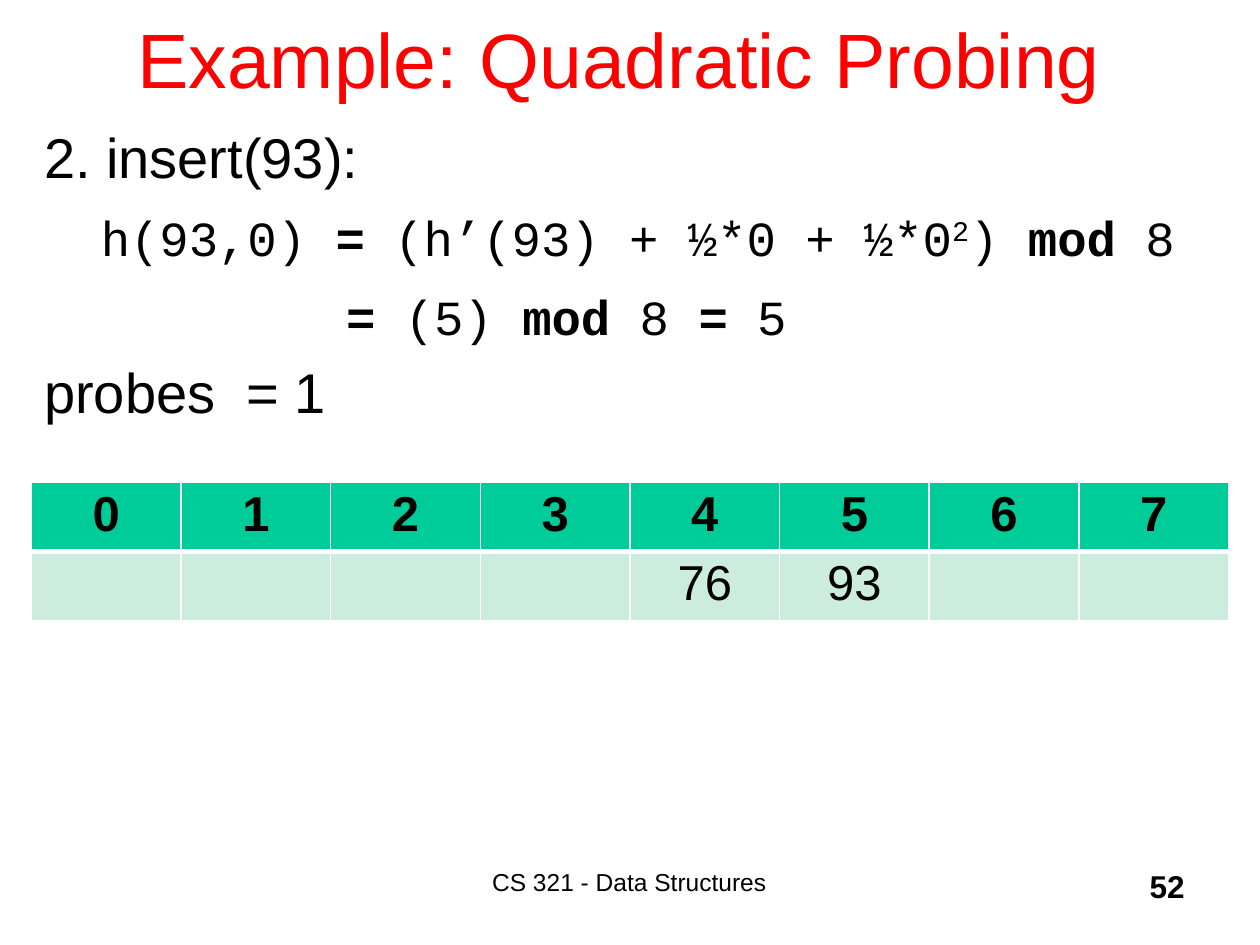
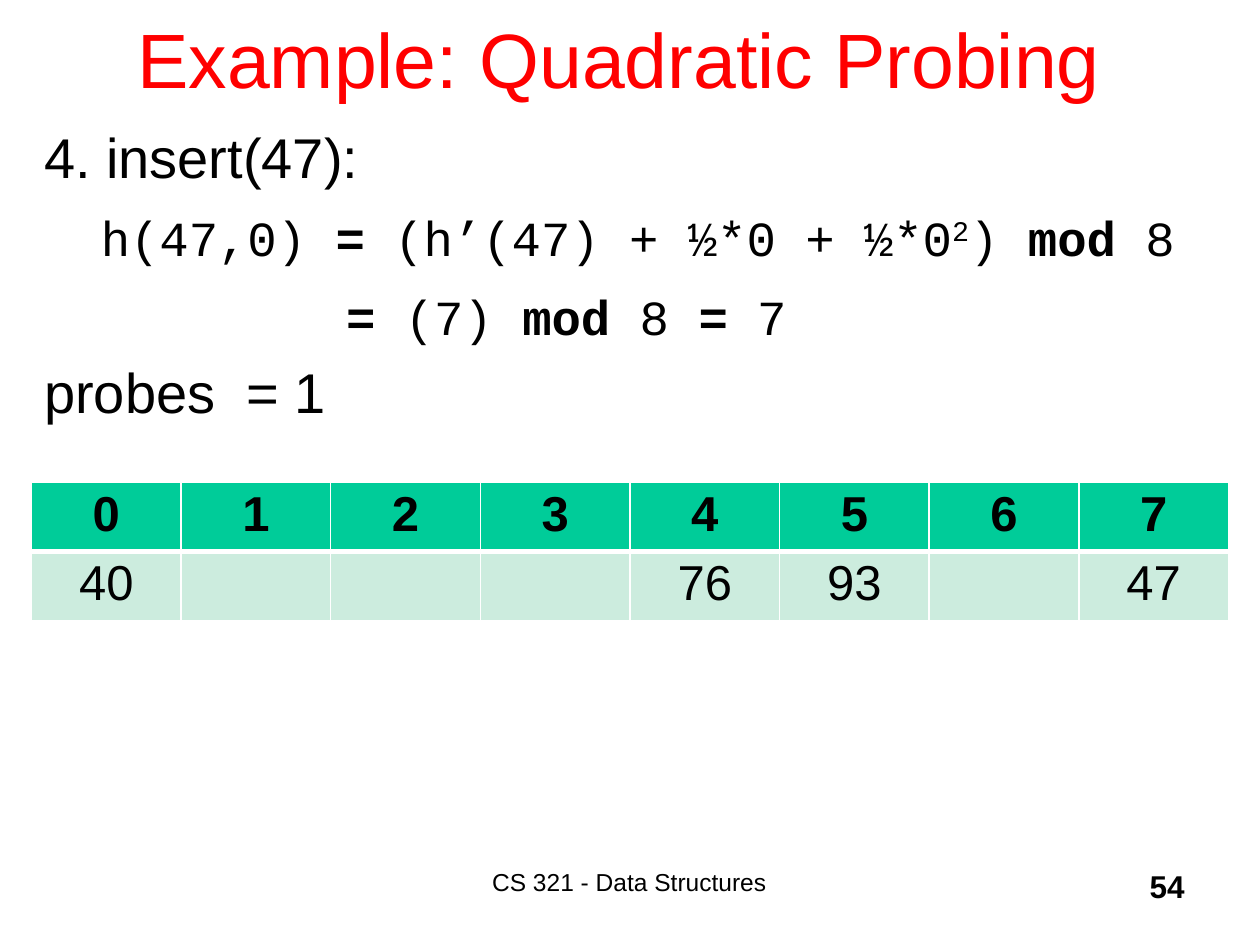
from pptx import Presentation
from pptx.dml.color import RGBColor
from pptx.enum.text import MSO_AUTO_SIZE, PP_ALIGN
from pptx.oxml import parse_xml
from pptx.oxml.ns import nsdecls
from pptx.util import Inches, Pt

BLACK, WHITE, RED = "000000", "FFFFFF", "FF0000"
HEADER_GREEN, CELL_GREEN = "00CC99", "CCECDE"
SANS, MONO = "Arial", "Courier New"
TITLE = "Example: Quadratic Probing "
FOOTER = "CS 321 - Data Structures"
SLOTS = 8
ROW_HEIGHT = 0.53


def color(value):
    return RGBColor.from_string(value)


def write(paragraph, text, size=28, font=SANS, fill=BLACK, bold=False, raised=0, align=None):
    run = paragraph.add_run()
    run.text = text
    run.font.size = Pt(size)
    run.font.name = font
    run.font.bold = bold
    run.font.color.rgb = color(fill)
    if raised:
        run.font._element.set("baseline", str(raised * 1000))
    if align is not None:
        paragraph.alignment = align


def place(shape, left, top, width, height):
    shape.left, shape.top = Inches(left), Inches(top)
    shape.width, shape.height = Inches(width), Inches(height)
    shape.text_frame.auto_size = MSO_AUTO_SIZE.NONE
    return shape.text_frame


def add_title(slide):
    frame = place(slide.shapes.title, 0.75, -0.17, 8.5, 1.25)
    write(frame.paragraphs[0], TITLE, size=44, fill=RED, align=PP_ALIGN.CENTER)


def add_footer(slide, left, width, text, **style):
    box = slide.shapes.add_textbox(Inches(left), Inches(6.83), Inches(width), Inches(0.5))
    box.text_frame.word_wrap = True
    write(box.text_frame.paragraphs[0], text, **style)


def plain_line(paragraph, indent=0.0):
    properties = paragraph._p.get_or_add_pPr()
    properties.set("marL", str(Inches(indent)))
    properties.set("indent", "0")
    properties.append(parse_xml(f"<a:buNone {nsdecls('a')}/>"))
    return paragraph


def write_formula(paragraph, *parts):
    for part in parts:
        write(paragraph, part, font=MONO, bold=part in ("=", "mod"),
              raised=30 if part == "2" else 0)


def add_steps(slide, step, key, home):
    frame = place(slide.placeholders[1], 0.25, 0.92, 9.5, 2.67)
    write(plain_line(frame.paragraphs[0]), f"{step}. insert({key}):", size=32)

    hashing = plain_line(frame.add_paragraph())
    write(hashing, " ", size=32, align=PP_ALIGN.CENTER)
    write_formula(hashing, f"h({key},0) ", "=", f" (h’({key}) + ½*0 + ½*0", "2",
                  ") ", "mod", " 8")

    result = plain_line(frame.add_paragraph(), indent=2.13)
    write(result, " ", size=32, font=MONO)
    write_formula(result, "=", f" ({home}) ", "mod", " 8 ", "=", f" {home}")

    write(plain_line(frame.add_paragraph()), "probes  = 1", size=32)


def style_cell(cell, fill, top, bottom):
    properties = cell._tc.get_or_add_tcPr()
    for side, width in (("L", 1), ("R", 1), ("T", top), ("B", bottom)):
        properties.append(parse_xml(
            f'<a:ln{side} {nsdecls("a")} w="{Pt(width)}"><a:solidFill>'
            f'<a:srgbClr val="{WHITE}"/></a:solidFill></a:ln{side}>'))
    cell.fill.solid()
    cell.fill.fore_color.rgb = color(fill)
    cell.margin_top = cell.margin_bottom = Inches(0.04)


def add_hash_table(slide, stored):
    table = slide.shapes.add_table(2, SLOTS, Inches(0.25), Inches(3.83),
                                   Inches(9.5), Inches(2 * ROW_HEIGHT)).table
    table.horz_banding = False
    for row in table.rows:
        row.height = Inches(ROW_HEIGHT)
    for slot in range(SLOTS):
        index, value = table.cell(0, slot), table.cell(1, slot)
        style_cell(index, HEADER_GREEN, top=1, bottom=3)
        style_cell(value, CELL_GREEN, top=3, bottom=1)
        write(index.text_frame.paragraphs[0], str(slot), bold=True, align=PP_ALIGN.CENTER)
        if slot in stored:
            write(value.text_frame.paragraphs[0], str(stored[slot]), align=PP_ALIGN.CENTER)


def add_insert_slide(deck, number, step, key, stored):
    slide = deck.slides.add_slide(deck.slide_layouts[1])
    add_title(slide)
    add_footer(slide, 3.08, 3.83, FOOTER, size=14, align=PP_ALIGN.CENTER)
    add_footer(slide, 7.42, 2.08, str(number), size=18, bold=True, align=PP_ALIGN.RIGHT)
    add_hash_table(slide, stored)
    add_steps(slide, step, key, home=key % SLOTS)


def main():
    deck = Presentation()
    deck.slide_width, deck.slide_height = Inches(10), Inches(7.5)
    add_insert_slide(deck, 52, 2, 93, {4: 76, 5: 93})
    add_insert_slide(deck, 54, 4, 47, {0: 40, 4: 76, 5: 93, 7: 47})
    deck.save("out.pptx")


if __name__ == "__main__":
    main()
